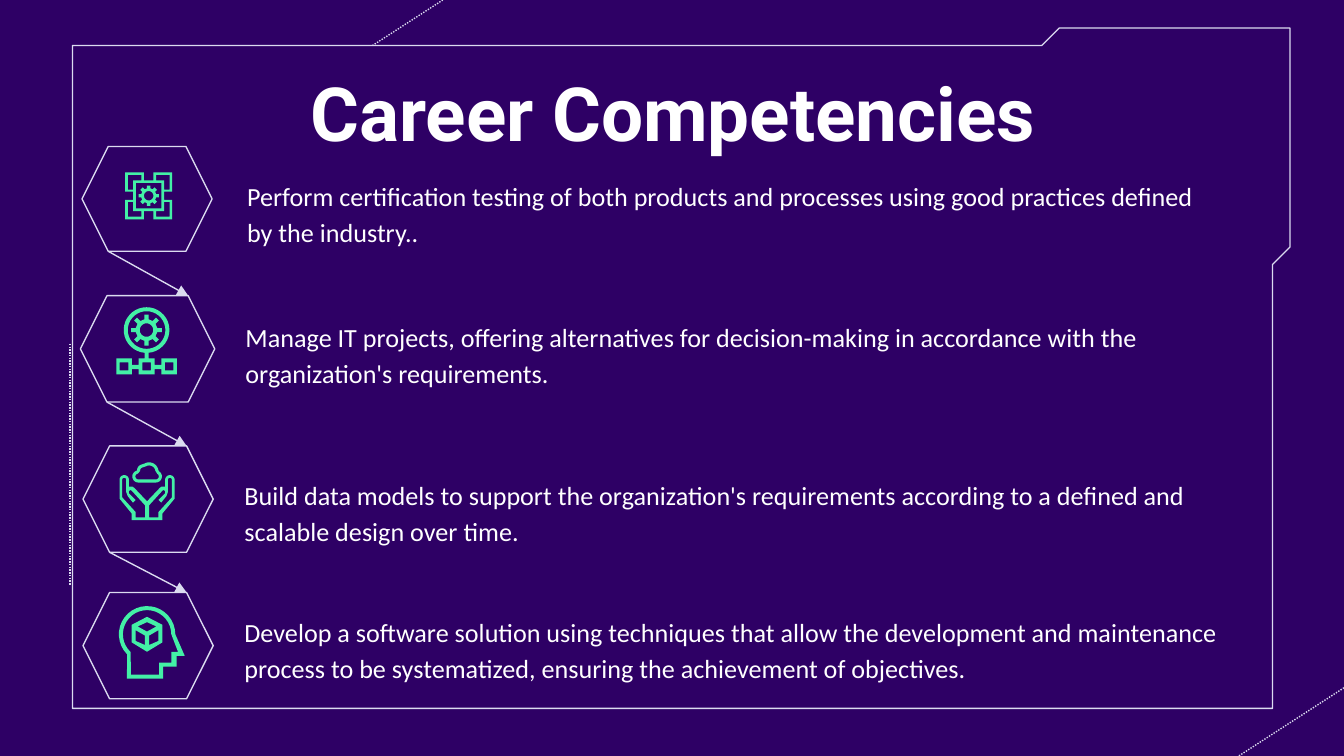
import math
from dataclasses import dataclass
from itertools import pairwise

import pptx
import pptx.util
from lxml import etree
from pptx.dml.color import RGBColor
from pptx.enum.dml import MSO_LINE
from pptx.enum.shapes import MSO_CONNECTOR, MSO_SHAPE
from pptx.enum.text import MSO_ANCHOR, PP_ALIGN
from pptx.oxml.ns import qn
from pptx.util import Cm

Point = tuple[float, float]
Path = list[Point]
Box = tuple[float, float, float, float]


@dataclass(frozen=True)
class Theme:
    back: RGBColor = RGBColor(0x2E, 0x00, 0x65)
    edge: RGBColor = RGBColor(0xDB, 0xDB, 0xF0)
    icon: RGBColor = RGBColor(0x43, 0xF0, 0xA6)
    ink: RGBColor = RGBColor(0xFF, 0xFF, 0xFF)
    head: str = "Roboto"
    body: str = "Calibri"
    big: int = 40
    small: int = 14
    thin: float = 0.75


@dataclass(frozen=True)
class Skill:
    hexa: Box
    area: Box
    text: str
    hub: Point
    layers: list[list[Path]]


THEME = Theme()
GRID = 0.0254  # icon unit in cm


def mirror(half: Path) -> Path:
    """Close a right half with its reflection in the vertical axis."""
    return half + [(-x, y) for x, y in reversed(half)]


def flip(path: Path, across: int = -1, down: int = 1) -> Path:
    return [(x * across, y * down) for x, y in path]


def arc(x: float, y: float, r: float, start: float, end: float) -> Path:
    """Trace an arc in degrees, clockwise from the right."""
    steps = max(6, round(abs(end - start) / 10))
    turns = [math.radians(start + (end - start) * i / steps) for i in range(steps + 1)]
    return [(x + r * math.cos(a), y + r * math.sin(a)) for a in turns]


def ring(r: float) -> Path:
    return arc(0, 0, r, 0, 350)


def rect(x: float, y: float, w: float, h: float) -> Path:
    return [(x - w, y - h), (x + w, y - h), (x + w, y + h), (x - w, y + h)]


def gear(root: float, tip: float, tooth: float, hole: float) -> list[Path]:
    rim = []
    for i in range(8):
        c, s = math.cos(i * math.pi / 4), math.sin(i * math.pi / 4)
        for x, y in ((root, -tooth), (tip, -tooth), (tip, tooth), (root, tooth)):
            rim.append((x * c - y * s, x * s + y * c))
    return [rim, ring(hole)]


def cloud(inset: float) -> Path:
    lobes = ((6.5, -15.5, 4.5, 90, -60), (1.5, -19, 7, -10, -120),
             (-3, -20, 4.5, -110, -190), (-6.5, -15.5, 4.5, -100, -270))
    return [p for x, y, r, a, b in lobes for p in arc(x, y, r - inset, a, b)]


def chip() -> list[list[Path]]:
    side = [(3.5, -11.5), (3.5, -17.5), (17.5, -17.5), (17.5, -3), (11.5, -3)]
    nook = [(5.5, -15.5), (5.5, -11.5), (11.5, -11.5),
            (11.5, -4.5), (15.5, -4.5), (15.5, -15.5)]
    nooks = [flip(nook, i, j) for i in (1, -1) for j in (1, -1)]
    rim = mirror(side + flip(side, 1, -1)[::-1])
    return [gear(5.5, 7.5, 1.3, 3.5), [rim, rect(0, 0, 9.5, 9.5), *nooks]]


def tree() -> list[list[Path]]:
    half = arc(0, 0, 17, -90, 85) + [
        (1.5, 21), (6, 21), (6, 26), (11, 26), (11, 21), (22.5, 21),
        (22.5, 33), (11, 33), (11, 29), (6, 29), (6, 33)]
    holes = [rect(x, 27, 3.2, 3) for x in (-16.8, 0, 16.8)]
    return [[mirror(half), ring(14), *holes], gear(8, 11.5, 1.5, 5)]


def hands() -> list[list[Path]]:
    half = [(0, 3), (9.5, -7), (11, -8), (13.5, -8), *arc(17, -13, 3.5, 180, 360),
            (20.5, 1), (11.5, 12), (11.5, 17)]
    palm = [(1.5, 6), (11.5, -5), (12.5, -5.5), (13.5, -4.5), (13.5, -3), (8.5, 2),
            (10.5, 4), (14.5, -1), (15.5, -4), *arc(17, -13, 1.5, 180, 360),
            (18.5, 0), (8.5, 11), (8.5, 15), (1.5, 15)]
    return [[mirror(half), palm, flip(palm)], [cloud(0), cloud(2.3)]]


def mind() -> list[list[Path]]:
    skull = arc(0, 0, 21, 135, 360) + [
        (28, 16), (22, 16), (22, 24), (12, 24), (12, 33), (-15, 33)]
    inner = arc(0, 0, 18, 133, 360) + [
        (23, 13), (18, 13), (18, 21), (9, 21), (9, 30), (-12, 30)]
    cube = mirror([(0, -13), (11.5, -7), (11.5, 6), (0, 13)])
    lid = mirror([(0, -9), (7, -5.8), (0, -2)])
    face = [(1.5, 1), (8.5, -3), (8.5, 5), (1.5, 8)]
    return [[skull, inner], [cube, lid, face, flip(face)]]


SKILLS = [
    Skill((1.55, 2.77, 2.46, 1.98), (4.42, 2.72, 18.54, 2.21),
          "Perform certification testing of both products and processes using good "
          "practices defined by the industry..", (2.81, 3.7), chip()),
    Skill((1.52, 5.59, 2.54, 2.01), (4.39, 5.59, 18.21, 2.01),
          "Manage IT projects, offering alternatives for decision-making in accordance "
          "with the organization's requirements.", (2.77, 6.24), tree()),
    Skill((1.57, 8.43, 2.46, 2.01), (4.37, 8.74, 18.62, 1.85),
          "Build data models to support the organization's requirements according to a "
          "defined and scalable design over time.", (2.78, 9.4), hands()),
    Skill((1.57, 11.2, 2.46, 2.01), (4.37, 10.59, 19.41, 2.59),
          "Develop a software solution using techniques that allow the development and "
          "maintenance process to be systematized, ensuring the achievement of "
          "objectives.", (2.78, 11.99), mind()),
]
FRAME = [(20.02, 0.53), (19.69, 0.86), (1.37, 0.86), (1.37, 13.39),
         (24.05, 13.39), (24.05, 5), (24.38, 4.67), (24.38, 0.53)]
DOTS = [((8.37, 0), (7.04, 0.86)), ((25.4, 13), (23.41, 14.29)),
        ((1.32, 6.5), (1.32, 11.07))]


def stroke(line: pptx.dml.line.LineFormat) -> None:
    line.color.rgb = THEME.edge
    line.width = pptx.util.Pt(THEME.thin)


def shape(slide: pptx.slide.Slide, paths: list[Path], fill: RGBColor,
          hub: Point = (0, 0), unit: float = 1) -> pptx.shapes.autoshape.Shape:
    """Fill closed paths as one freeform; inner paths become holes."""
    pen = None
    for path in paths:
        pts = [(Cm(hub[0] + x * unit), Cm(hub[1] + y * unit)) for x, y in path]
        if pen is None:
            pen = slide.shapes.build_freeform(*pts[0])
        else:
            pen.move_to(*pts[0])
        pen.add_line_segments(pts[1:], close=True)
    form = pen.convert_to_shape()
    form.shadow.inherit = False
    form.fill.solid()
    form.fill.fore_color.rgb = fill
    form.line.fill.background()
    return form


def link(slide: pptx.slide.Slide, start: Point, end: Point, dots: bool = False) -> None:
    """Draw a dotted line, or else an arrow."""
    wire = slide.shapes.add_connector(
        MSO_CONNECTOR.STRAIGHT, *map(Cm, start), *map(Cm, end))
    stroke(wire.line)
    if dots:
        wire.line.dash_style = MSO_LINE.ROUND_DOT
    else:
        etree.SubElement(wire.line._get_or_add_ln(), qn("a:tailEnd"), type="triangle")
    etree.SubElement(wire._element.spPr, qn("a:effectLst"))


def label(slide: pptx.slide.Slide, area: Box, text: str, face: str, size: int,
          title: bool = False) -> None:
    frame = slide.shapes.add_textbox(*map(Cm, area)).text_frame
    frame.word_wrap = True
    frame.margin_left = frame.margin_right = Cm(0.25)
    frame.margin_top = frame.margin_bottom = Cm(0.25)
    frame.vertical_anchor = MSO_ANCHOR.TOP if title else MSO_ANCHOR.BOTTOM
    para = frame.paragraphs[0]
    para.text = text
    para.line_spacing = 1.15
    para.alignment = PP_ALIGN.CENTER if title else PP_ALIGN.LEFT
    para.font.name, para.font.size = face, pptx.util.Pt(size)
    para.font.bold = title
    para.font.color.rgb = THEME.ink


def main() -> None:
    deck = pptx.Presentation()
    deck.slide_width, deck.slide_height = Cm(25.4), Cm(14.29)
    slide = deck.slides.add_slide(deck.slide_layouts[6])
    slide.background.fill.solid()
    slide.background.fill.fore_color.rgb = THEME.back
    for start, end in DOTS:
        link(slide, start, end, dots=True)
    stroke(shape(slide, [FRAME], THEME.back).line)
    label(slide, (2.01, 0.76, 21.41, 2.21), "Career Competencies",
          THEME.head, THEME.big, title=True)
    for skill in SKILLS:
        cell = slide.shapes.add_shape(MSO_SHAPE.HEXAGON, *map(Cm, skill.hexa))
        cell.shadow.inherit = False
        cell.fill.background()
        stroke(cell.line)
        label(slide, skill.area, skill.text, THEME.body, THEME.small)
        for paths in skill.layers:
            shape(slide, paths, THEME.icon, skill.hub, GRID)
    for above, below in pairwise(SKILLS):
        x, y, _, h = above.hexa
        left, top, w, tall = below.hexa
        link(slide, (x + h / 4, y + h), (left + w - tall / 4, top))
    deck.save("out.pptx")


if __name__ == "__main__":
    main()
